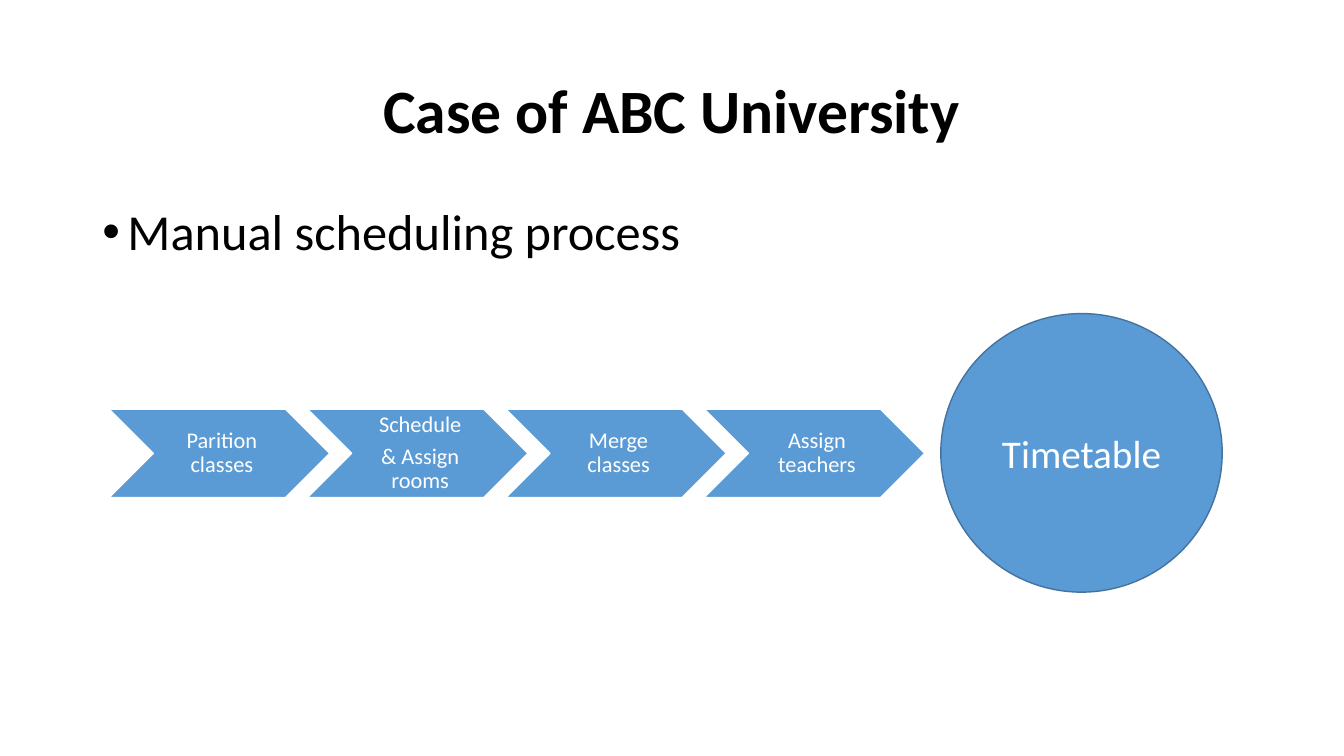
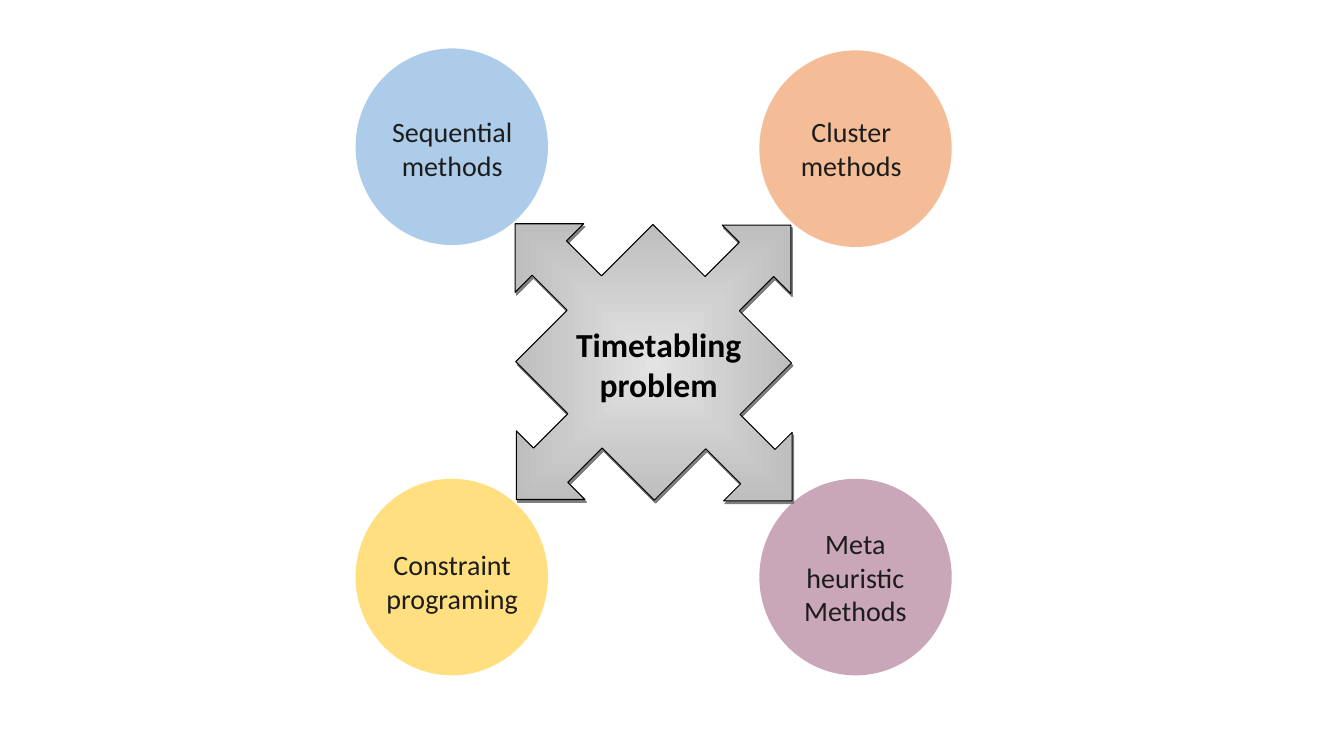
from lxml import etree
from pptx import Presentation
from pptx.dml.color import RGBColor
from pptx.enum.shapes import MSO_SHAPE
from pptx.enum.text import MSO_ANCHOR, PP_ALIGN
from pptx.oxml import parse_xml
from pptx.oxml.ns import qn
from pptx.util import Pt

CHEVRON, ELLIPSE = MSO_SHAPE.CHEVRON, MSO_SHAPE.OVAL
FOUR_WAY_ARROW = MSO_SHAPE.QUAD_ARROW_CALLOUT
TOP, MIDDLE = MSO_ANCHOR.TOP, MSO_ANCHOR.MIDDLE
LEFT, CENTER = PP_ALIGN.LEFT, PP_ALIGN.CENTER

FONT = "Calibri"
BLACK, WHITE, INK = "000000", "FFFFFF", "1C1C1C"
BLUE, DARK_BLUE = "5B9BD5", "43739E"
YELLOW, PLUM, ORANGE = "FFC000", "954F72", "ED7D31"
NAMESPACE = 'xmlns:a="http://schemas.openxmlformats.org/drawingml/2006/main"'


def rgb(code):
    return RGBColor.from_string(code)


def write(shape, text, size, color, bold=False, align=CENTER, anchor=TOP,
          spacing=1.0, gap=0):
    frame = shape.text_frame
    frame.text = text
    frame.word_wrap = True
    frame.vertical_anchor = anchor
    for number, paragraph in enumerate(frame.paragraphs):
        paragraph.alignment = align
        paragraph.line_spacing = spacing
        paragraph.space_before = Pt(gap if number else 0)
        for run in paragraph.runs:
            run.font.name = FONT
            run.font.size = Pt(size)
            run.font.bold = bold
            run.font.color.rgb = rgb(color)


prs = Presentation()
prs.slide_width, prs.slide_height = Pt(960), Pt(540)
blank = prs.slide_layouts[6]

# Slide 1: manual scheduling process
process = prs.slides.add_slide(blank).shapes

title = process.add_textbox(Pt(66), Pt(28.8), Pt(828), Pt(104.4))
write(title, "Case of ABC University", 44, BLACK, bold=True, anchor=MIDDLE,
      spacing=0.9)

# Bulleted heading
heading = process.add_textbox(Pt(66), Pt(144), Pt(828), Pt(60))
write(heading, "Manual scheduling process", 36, BLACK, align=LEFT, spacing=0.9)
bullet = heading.text_frame.paragraphs[0]._p.get_or_add_pPr()
bullet.set("marL", str(Pt(18)))
bullet.set("indent", str(-Pt(18)))
etree.SubElement(bullet, qn("a:buFont")).set("typeface", "Arial")
etree.SubElement(bullet, qn("a:buChar")).set("char", "•")

# Chain of steps
steps = ["Parition classes", "Schedule\n& Assign rooms", "Merge classes",
         "Assign teachers"]
for number, step_text in enumerate(steps):
    step = process.add_shape(CHEVRON, Pt(78 + 141.7 * number), Pt(292.3),
                             Pt(157.5), Pt(63))
    step.shadow.inherit = False
    step.fill.solid()
    step.fill.fore_color.rgb = rgb(BLUE)
    step.line.color.rgb = rgb(WHITE)
    step.line.width = Pt(1)
    write(step, step_text, 16, WHITE, anchor=MIDDLE, spacing=0.9, gap=5.6)
    frame = step.text_frame
    frame.margin_left = Pt(5)
    frame.margin_right = frame.margin_top = frame.margin_bottom = Pt(1.5)

# Result of the chain
timetable = process.add_shape(ELLIPSE, Pt(672), Pt(224), Pt(201), Pt(199))
timetable.shadow.inherit = False
timetable.fill.solid()
timetable.fill.fore_color.rgb = rgb(BLUE)
timetable.line.color.rgb = rgb(DARK_BLUE)
timetable.line.width = Pt(1)
write(timetable, "Timetable", 28, WHITE, anchor=MIDDLE)

# Slide 2: methods around the timetabling problem
overview = prs.slides.add_slide(blank).shapes

# Four-way arrow with a grey gradient and a short shadow
hub = overview.add_shape(FOUR_WAY_ARROW, Pt(328.3), Pt(118.8), Pt(277.2), Pt(280))
hub.rotation = 315
for number, share in enumerate([0.125, 0.125, 0.125, 0.5]):
    hub.adjustments[number] = share
hub.line.color.rgb = rgb(BLACK)
hub.line.width = Pt(0.75)
hub._element.spPr.find(qn("a:prstGeom")).addnext(parse_xml(
    f'<a:gradFill {NAMESPACE} rotWithShape="0"><a:gsLst>'
    '<a:gs pos="0"><a:srgbClr val="E3E3E3"/></a:gs>'
    '<a:gs pos="100000"><a:srgbClr val="969696"/></a:gs></a:gsLst>'
    '<a:path path="rect"><a:fillToRect l="50000" t="50000" r="50000" b="50000"/>'
    '</a:path></a:gradFill>'))
hub._element.spPr.append(parse_xml(
    f'<a:effectLst {NAMESPACE}><a:outerShdw blurRad="0" dist="{Pt(2.2)}" '
    f'dir="{63 * 60000}" algn="ctr" rotWithShape="0"><a:srgbClr val="{BLACK}">'
    '<a:alpha val="50000"/></a:srgbClr></a:outerShdw></a:effectLst>'))

# Half-transparent circles: left, top, colour
circles = [(254, 34.6, BLUE), (254, 342, YELLOW), (542.4, 342, PLUM),
           (542.4, 36, ORANGE)]
for left, top, color in circles:
    circle = overview.add_shape(ELLIPSE, Pt(left), Pt(top), Pt(137.4), Pt(140.4))
    circle.shadow.inherit = False
    circle.fill.solid()
    circle.fill.fore_color.rgb = rgb(color)
    circle.line.fill.background()
    tint = circle._element.spPr.find(qn("a:solidFill"))[0]
    etree.SubElement(tint, qn("a:alpha")).set("val", "50000")

# Labels: left, top, width, height, text
labels = [(263, 78.5, 120, 55, "Sequential methods"),
          (553, 78.5, 110, 55, "Cluster methods"),
          (551.5, 372.5, 119, 80, "Meta heuristic Methods"),
          (263, 387.5, 120, 55, "Constraint programing")]
for left, top, width, height, text in labels:
    label = overview.add_textbox(Pt(left), Pt(top), Pt(width), Pt(height))
    write(label, text, 20, INK)

problem = overview.add_textbox(Pt(401), Pt(227.5), Pt(139), Pt(65.5))
write(problem, "Timetabling problem", 24, BLACK, bold=True)

prs.save("out.pptx")
